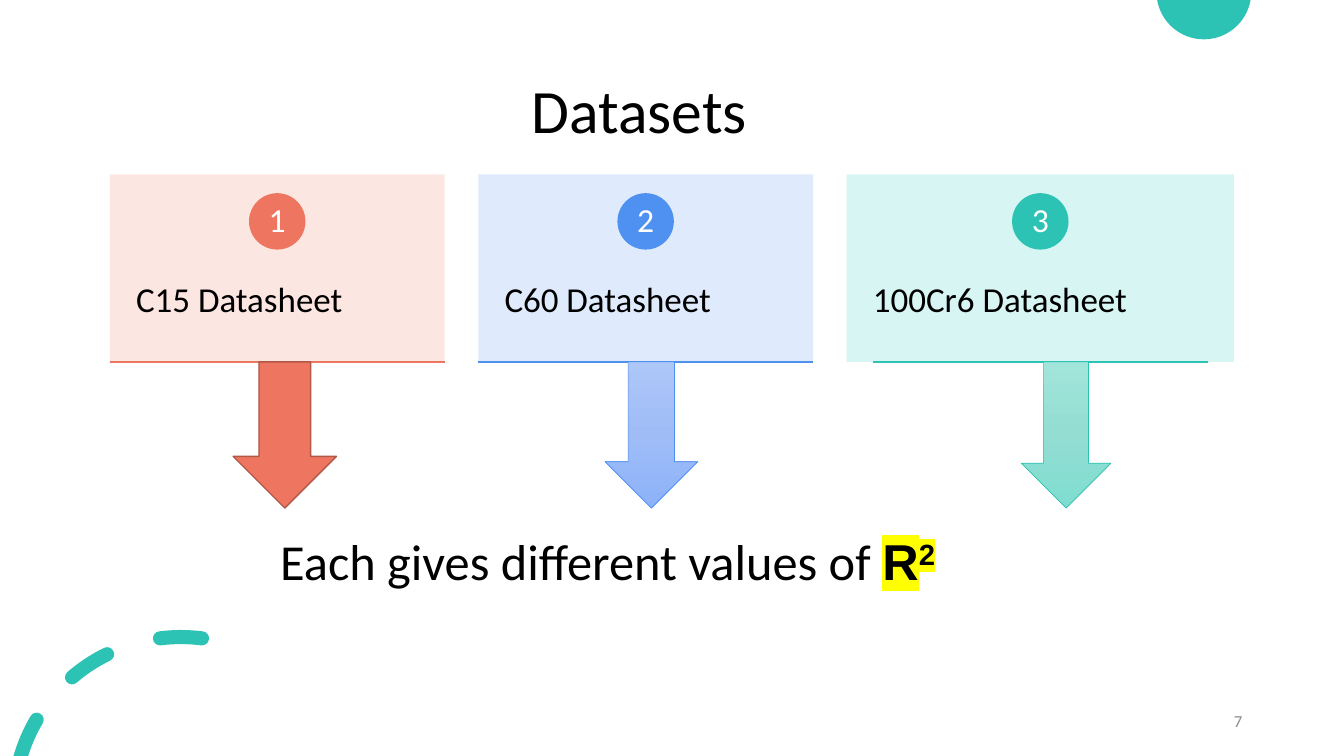
from copy import deepcopy
from dataclasses import dataclass
from math import acos, cos, degrees, radians, sin, tan

from lxml.etree import SubElement
from pptx import Presentation
from pptx.dml.color import RGBColor
from pptx.enum.shapes import MSO_CONNECTOR as Line, MSO_SHAPE as Shape
from pptx.enum.text import MSO_ANCHOR as Anchor, PP_ALIGN as Align
from pptx.oxml import parse_xml
from pptx.oxml.ns import nsdecls, qn
from pptx.util import Emu, Inches, Pt

BLACK = RGBColor(0x00, 0x00, 0x00)
WHITE = RGBColor(0xFF, 0xFF, 0xFF)
GRAY = RGBColor(0x8C, 0x8C, 0x8C)
CORAL = RGBColor(0xEE, 0x76, 0x61)
CORAL_DARK = RGBColor(0xB0, 0x57, 0x48)
CORAL_PALE = RGBColor(0xFC, 0xE4, 0xDF)
BLUE = RGBColor(0x4E, 0x91, 0xF0)
BLUE_PALE = RGBColor(0xDC, 0xE9, 0xFC)
TEAL = RGBColor(0x2C, 0xC3, 0xB4)
TEAL_PALE = RGBColor(0xD3, 0xF5, 0xF2)
BLUE_FADE = (RGBColor(0xAE, 0xC7, 0xF9), RGBColor(0x9F, 0xBC, 0xF7), RGBColor(0x8D, 0xB2, 0xF9))
TEAL_FADE = (RGBColor(0xA1, 0xE4, 0xDA), RGBColor(0x93, 0xDD, 0xD3), RGBColor(0x7F, 0xDD, 0xD0))

# Grid of 160 columns by 90 rows with square cells
ROWS = 90
prs = Presentation()
prs.slide_width, prs.slide_height = Inches(13.33), Inches(7.5)
CELL = prs.slide_height / ROWS
s = prs.slides.add_slide(prs.slide_layouts[6])

CARD_LEFT, CARD_PITCH, CARD_W = 13.08, 43.85, 39.84
CARD_TOP, CARD_H = 20.76, 22.32
CARD_BOTTOM = CARD_TOP + CARD_H
BADGE, BADGE_TOP = 6.72, 23
LABEL_TOP, LABEL_H = 29.28, 13.44
ARROW_H = 17.4

Point = tuple[float, float]


@dataclass
class Card:
    label: str
    color: RGBColor
    pale: RGBColor
    width: float
    arrow_left: float
    arrow_w: float
    arrow_fill: tuple[RGBColor, ...]
    arrow_line: RGBColor
    arrow_pt: float


@dataclass
class Box:
    left: float
    top: float
    width: float
    height: float

    def emu(self) -> list[Emu]:
        return [grid(v) for v in (self.left, self.top, self.width, self.height)]


def grid(cells: float) -> Emu:
    return Emu(round(cells * CELL))


def style(sp, fill: RGBColor):
    sp.shadow.inherit = False
    sp.fill.solid()
    sp.fill.fore_color.rgb = fill
    sp.line.fill.background()
    return sp


def add_shape(kind: Shape, box: Box, fill: RGBColor):
    return style(s.shapes.add_shape(kind, *box.emu()), fill)


def write(sp, text: str, size: float, color: RGBColor = BLACK, align: Align = Align.LEFT,
          anchor: Anchor = Anchor.TOP, spacing: float = 0.9,
          insets: tuple[float, float, float] = (1.2, 0.6, 0.6)):
    """Fill a shape with one paragraph; insets are side, top and bottom."""
    tf = sp.text_frame
    tf.word_wrap = True
    tf.vertical_anchor = anchor
    tf.margin_left = tf.margin_right = grid(insets[0])
    tf.margin_top, tf.margin_bottom = grid(insets[1]), grid(insets[2])
    p = tf.paragraphs[0]
    p.alignment, p.line_spacing = align, spacing
    p.font.size, p.font.name, p.font.color.rgb = Pt(size), "Calibri", color
    p.add_run().text = text
    return p


def add_text(box: Box, *args, **kwargs):
    return write(s.shapes.add_textbox(*box.emu()), *args, **kwargs)


def fade(sp, colors: tuple[RGBColor, ...]) -> None:
    """Top-to-bottom gradient with three stops."""
    sp.fill.gradient()
    sp.fill.gradient_angle = 270
    first = sp.element.find(".//" + qn("a:gs"))
    first.addnext(deepcopy(first))
    for stop, color, position in zip(sp.fill.gradient_stops, colors, (0, 0.5, 1)):
        stop.color.rgb, stop.position = color, position


def on_circle(cx: float, cy: float, radius: float, angle: float) -> Point:
    """Angles run clockwise from the top."""
    return cx + radius * sin(radians(angle)), cy - radius * cos(radians(angle))


def arc(cx: float, cy: float, radius: float, *angles: float) -> list[Point]:
    """Two control points and an end point for each step between angles."""
    points = []
    for a, b in zip(angles, angles[1:]):
        reach = 4 / 3 * tan(radians(b - a) / 4) * radius
        (x1, y1), (x2, y2) = on_circle(cx, cy, radius, a), on_circle(cx, cy, radius, b)
        points += [(x1 + reach * cos(radians(a)), y1 + reach * sin(radians(a))),
                   (x2 - reach * cos(radians(b)), y2 - reach * sin(radians(b))), (x2, y2)]
    return points


def add_curves(contours: list[list[Point]]) -> None:
    """Teal outline; each contour is a start point followed by curves."""
    builder = None
    for contour in contours:
        start, *rest = [(x * CELL, y * CELL) for x, y in contour]
        if builder:
            builder.move_to(*start)
        else:
            builder = s.shapes.build_freeform(*start)
        builder.add_line_segments(rest, close=True)
    sp = style(builder.convert_to_shape(), TEAL)
    lines = list(sp.element.iter(qn("a:lnTo")))
    for i in range(0, len(lines), 3):
        curve = parse_xml(f'<a:cubicBezTo {nsdecls("a")}/>')
        lines[i].addprevious(curve)
        for line in lines[i:i + 3]:
            curve.append(line[0])
            line.getparent().remove(line)


def ring_dash(middle: float) -> list[Point]:
    """Round-ended piece of a ring, cut off at the slide's bottom edge."""
    cx, cy, radius, half, span = 21.54, 95.76, 19.92, 0.84, 7.2
    outer, inner = radius + half, radius - half
    a, b = middle - span, middle + span
    bottom_out, bottom_in = (-degrees(acos((cy - ROWS) / r)) for r in (outer, inner))
    cut = a < bottom_out
    a_out, a_in = (bottom_out, bottom_in) if cut else (a, a)
    points = [on_circle(cx, cy, outer, a_out), *arc(cx, cy, outer, a_out, b),
              *arc(*on_circle(cx, cy, radius, b), half, b, b + 90, b + 180),
              *arc(cx, cy, inner, b, a_in)]
    if not cut:
        points += arc(*on_circle(cx, cy, radius, a), half, a + 180, a + 270, a + 360)
    return points


def add_card(i: int, card: Card) -> None:
    left = CARD_LEFT + i * CARD_PITCH
    center = left + card.width / 2
    panel = add_shape(Shape.RECTANGLE, Box(left, CARD_TOP, card.width, CARD_H), card.pale)
    SubElement(panel.element.find(".//" + qn("a:srgbClr")), qn("a:alpha"), val="90000")
    label = add_shape(Shape.RECTANGLE, Box(left, LABEL_TOP, card.width, LABEL_H), card.pale)
    label.fill.background()
    write(label, card.label, 25, insets=(3.12, 4.32, 0))

    # Numbered badge
    badge = Box(center - BADGE / 2, BADGE_TOP, BADGE, BADGE)
    add_shape(Shape.OVAL, badge, card.color)
    add_text(Box(center - 2.4, 24, 4.8, 4.8), str(i + 1), 24, WHITE, Align.CENTER, Anchor.MIDDLE,
             insets=(0.48, 0.12, 0.12))

    # Bottom rule
    rule = s.shapes.add_connector(Line.STRAIGHT, grid(center - CARD_W / 2), grid(CARD_BOTTOM),
                                  grid(center + CARD_W / 2), grid(CARD_BOTTOM))
    rule.line.color.rgb, rule.line.width = card.color, Pt(1)
    SubElement(rule.element.spPr, qn("a:effectLst"))


def add_arrow(card: Card) -> None:
    box = Box(card.arrow_left, CARD_BOTTOM, card.arrow_w, ARROW_H)
    sp = add_shape(Shape.DOWN_ARROW, box, card.arrow_fill[0])
    if len(card.arrow_fill) > 1:
        fade(sp, card.arrow_fill)
    sp.line.color.rgb, sp.line.width = card.arrow_line, Pt(card.arrow_pt)


def add_marked(p, text: str):
    """Bold run on a yellow highlight."""
    r = p.add_run()
    r.text = text
    r.font.name, r.font.bold = "Arial", True
    rPr = r._r.get_or_add_rPr()
    rPr.insert(0, parse_xml(f'<a:highlight {nsdecls("a")}><a:srgbClr val="FFFF00"/></a:highlight>'))
    return rPr


CARDS = [
    Card("C15 Datasheet", CORAL, CORAL_PALE, CARD_W, 27.75, 12.3, (CORAL,), CORAL_DARK, 1),
    Card("C60 Datasheet", BLUE, BLUE_PALE, CARD_W, 72, 11.04, BLUE_FADE, BLUE, 0.5),
    Card("100Cr6 Datasheet", TEAL, TEAL_PALE, 46.08, 121.54, 10.68, TEAL_FADE, TEAL, 0.5),
]

# Corner decorations
DOME = (143.28, -0.96, 5.64)
add_curves([[on_circle(*DOME, 99.8), *arc(*DOME, 99.8, 180, 260.2)]])
add_curves([ring_dash(-33.4 * n) for n in (2, 1, 0)])

# Title
add_text(Box(7.08, 4.8, 138, 17.4), "Datasets", 44, align=Align.CENTER, anchor=Anchor.MIDDLE)

# Cards and arrows
for i, card in enumerate(CARDS):
    add_card(i, card)
for card in CARDS:
    add_arrow(card)

# Conclusion and slide number
p = add_text(Box(32.16, 62.52, 98.88, 8.52), "Each gives different values of ", 36, spacing=1.0)
add_marked(p, "R")
add_marked(p, "2").set("baseline", "30000")
add_text(Box(113.04, 83.4, 36, 4.8), "7", 12, GRAY, Align.RIGHT, Anchor.MIDDLE, 1.0)

prs.save("out.pptx")
